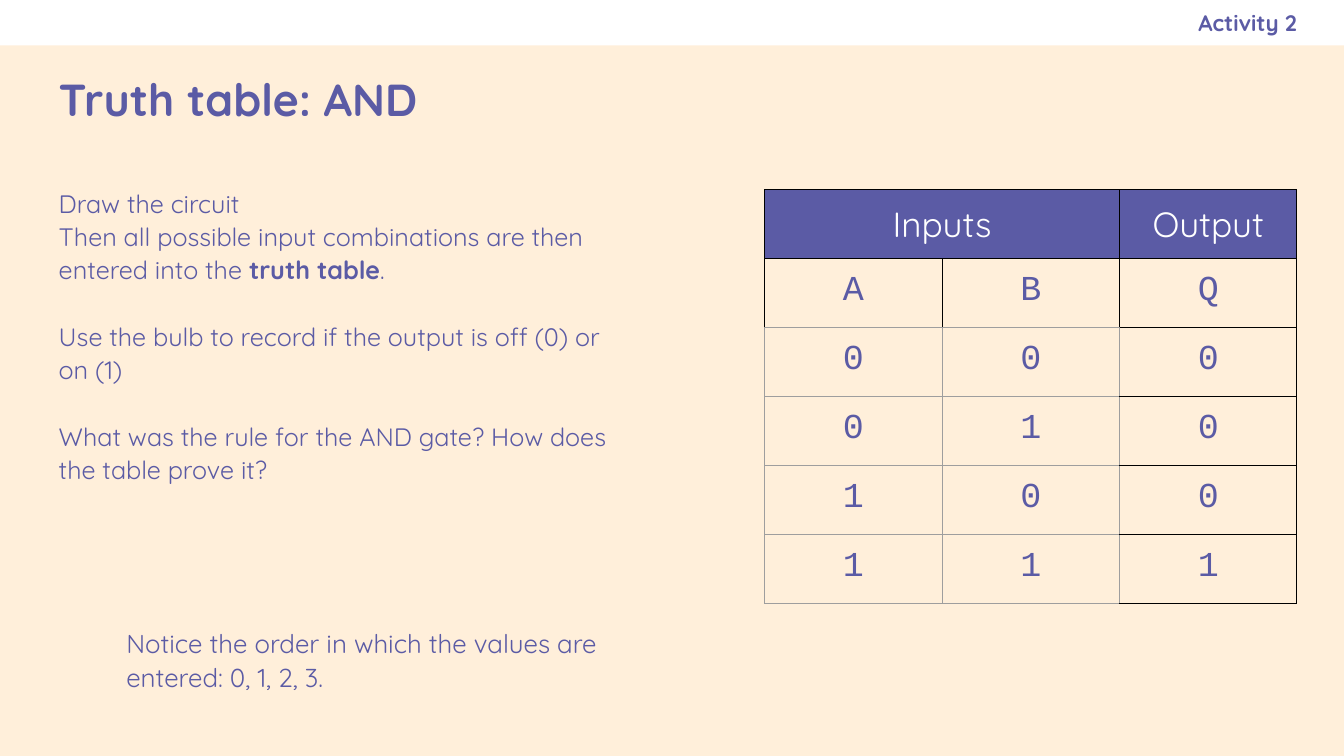
from lxml import etree
from pptx import Presentation
from pptx import util as u
from pptx.dml.color import RGBColor
from pptx.enum import shapes, text
from pptx.oxml import ns

PURPLE, CREAM, WHITE, BLACK, GREY = "5B5BA5", "FFEFDA", "FFFFFF", "000000", "9E9E9E"
INSET = u.Inches(0.13)


def color(hex_value):
    """Turn a hex string into a colour."""
    return RGBColor.from_string(hex_value)


def write(paragraph, wording, hex_value=PURPLE, **font):
    """Add a run to a paragraph with the given font values."""
    run = paragraph.add_run()
    run.text = wording
    run.font.color.rgb = color(hex_value)
    for key, value in {"name": "Quicksand", "bold": False, **font}.items():
        setattr(run.font, key, value)


deck = Presentation()
deck.slide_width, deck.slide_height = u.Inches(13.33), u.Inches(7.5)
W, H = deck.slide_width, deck.slide_height
slide = deck.slides.add_slide(deck.slide_layouts[6])
slide.background.fill.solid()
slide.background.fill.fore_color.rgb = color(CREAM)

# White band across the top
band = slide.shapes.add_shape(shapes.MSO_SHAPE.RECTANGLE, 0, 0, W, int(H * 0.06))
band.shadow.inherit = False
band.fill.solid()
band.fill.fore_color.rgb = color(WHITE)
band.line.fill.background()

# Text areas: shares of the slide's size, then frame format values
MIDDLE, TOP = text.MSO_ANCHOR.MIDDLE, text.MSO_ANCHOR.TOP
areas = {
    "instructions": ((0.034, 0.228, 0.448, 0.712), {"vertical_anchor": TOP}),
    "title": ((0.034, 0.063, 0.932, 0.136), {"vertical_anchor": MIDDLE}),
    "activity": ((0.575, 0, 0.39, 0.061), {"vertical_anchor": MIDDLE, "margin_right": 0}),
}
frames = {}
for part, ((x, y, w, h), extra) in areas.items():
    frame = slide.shapes.add_textbox(int(W * x), int(H * y), int(W * w), int(H * h)).text_frame
    margins = {f"margin_{side}": INSET for side in ("left", "top", "right", "bottom")}
    for key, value in {"word_wrap": True, **margins, **extra}.items():
        setattr(frame, key, value)
    frames[part] = frame

write(frames["title"].paragraphs[0], "Truth table: AND", size=u.Pt(32), bold=True)
activity = frames["activity"].paragraphs[0]
activity.alignment = text.PP_ALIGN.RIGHT
write(activity, "Activity 2", size=u.Pt(16), bold=True)

# Instructions: space before in points, size, indent in inches, (wording, bold) pieces
steps = [
    (0, 18, 0, [("Draw the circuit", False)]),
    (0, 18, 0, [("Then all possible input combinations are then entered into the ", False),
                ("truth table", True), (".", False)]),
    (24.6, 18, 0, [("Use the bulb to record if the output is off (0) or on (1)", False)]),
    (24.6, 18, 0, [("What was the rule for the AND gate? How does the table prove it?", False)]),
    (100, 18.5, 0.67, [("Notice the order in which the values are entered: 0, 1, 2, 3.", False)]),
]
for number, (gap, size, indent, pieces) in enumerate(steps):
    step = frames["instructions"].paragraphs[0] if number == 0 else frames["instructions"].add_paragraph()
    step.space_before, step.line_spacing = u.Pt(gap), 1.09
    if indent:
        step._p.get_or_add_pPr().set("marL", str(u.Inches(indent)))
    for wording, bold in pieces:
        write(step, wording, size=u.Pt(size), bold=bold)

# Truth table: every combination of A and B, with Q = A AND B
rows = [["Inputs", "", "Output"], ["A", "B", "Q"]]
rows += [[str(a), str(b), str(a & b)] for a in (0, 1) for b in (0, 1)]
truth = slide.shapes.add_table(len(rows), 3, int(W * 0.569), int(H * 0.251),
                               int(W * 0.396), int(H * 0.547)).table
truth.first_row = truth.horz_banding = False
truth.cell(0, 0).merge(truth.cell(0, 1))

for r, row in enumerate(rows):
    for c, wording in enumerate(row):
        cell, header = truth.cell(r, c), r == 0
        for side in ("left", "top", "right", "bottom"):
            setattr(cell, f"margin_{side}", INSET)
        if header:
            cell.fill.solid()
            cell.fill.fore_color.rgb = color(PURPLE)
        else:
            cell.fill.background()
        if wording:
            entry = cell.text_frame.paragraphs[0]
            entry.alignment = text.PP_ALIGN.CENTER
            write(entry, wording, WHITE if header else PURPLE, size=u.Pt(25),
                  name="Quicksand" if header else "Courier New")

        # Black around headings and the output column, grey between input values
        heading, output = r < 2, c == 2
        edges = {
            "lnL": heading,
            "lnR": heading or output,
            "lnT": heading or output,
            "lnB": header or output,
        }
        props = cell._tc.get_or_add_tcPr()
        for place, (edge, dark) in enumerate(edges.items()):
            line = etree.Element(ns.qn(f"a:{edge}"), w=str(u.Pt(0.75)))
            fill = etree.SubElement(line, ns.qn("a:solidFill"))
            etree.SubElement(fill, ns.qn("a:srgbClr"), val=BLACK if dark else GREY)
            props.insert(place, line)

deck.save("out.pptx")
